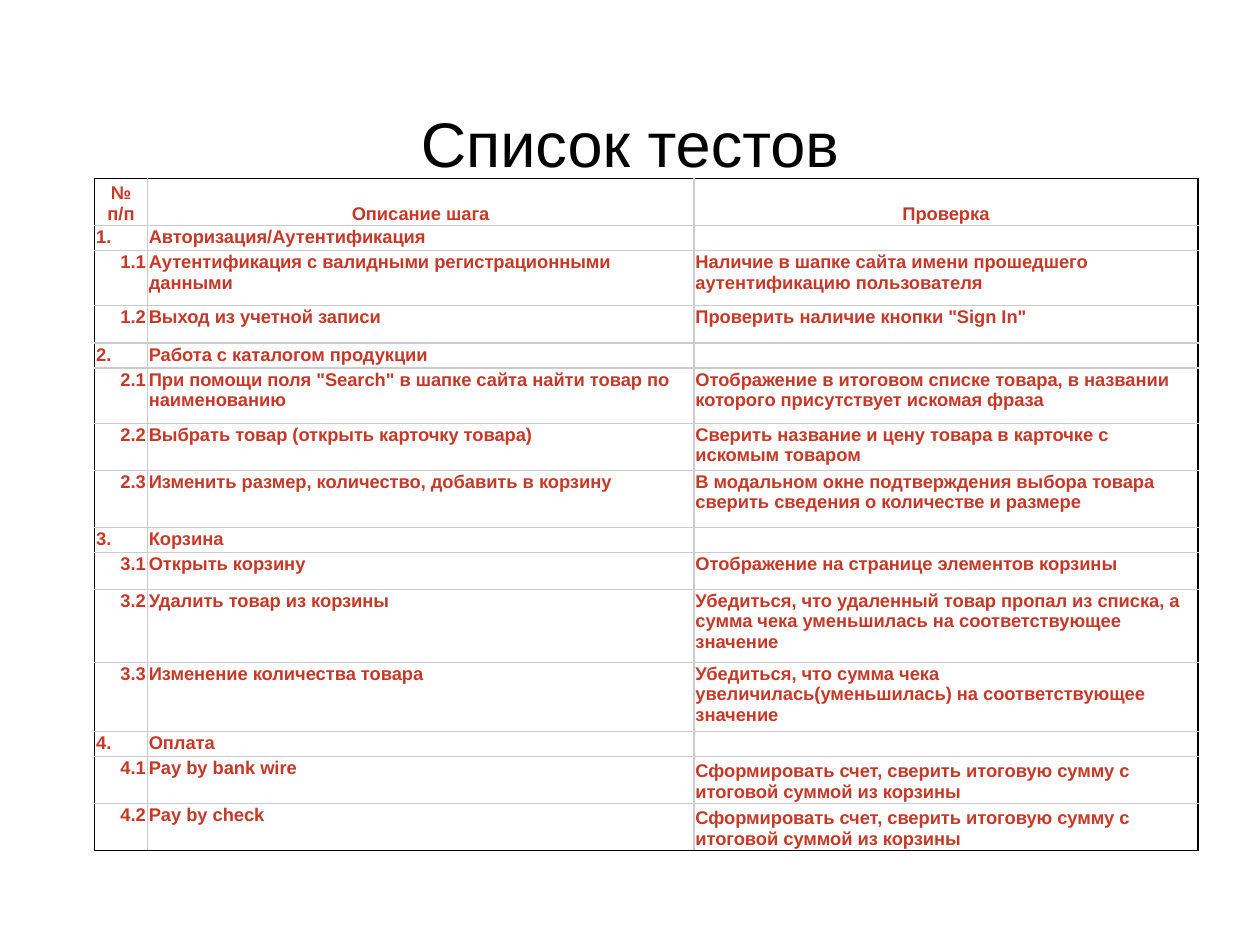
import pptx
import pptx.dml.color
import pptx.enum.text
import pptx.oxml.ns
import pptx.util
from lxml import etree

Cm = pptx.util.Cm
Pt = pptx.util.Pt
ALIGN = pptx.enum.text.PP_ALIGN
ANCHOR = pptx.enum.text.MSO_ANCHOR
qn = pptx.oxml.ns.qn

FONT = "Arial"
TABLE_SIZE = 10.5
COLORS = {"title": "000000", "text": "C53929", "frame": "000000", "grid": "CCCCCC"}

COLUMN_WIDTHS = [1.06, 11.02, 10.16]
PAYMENT_CHECK = "Сформировать счет, сверить итоговую сумму с итоговой суммой из корзины"

# Row height in cm, number, step, check
TESTS = [
    (0.87, "№ п/п", "Описание шага", "Проверка"),
    (0.46, "1.", "Авторизация/Аутентификация", ""),
    (1.11, "1.1", "Аутентификация с валидными регистрационными данными",
     "Наличие в шапке сайта имени прошедшего аутентификацию пользователя"),
    (0.75, "1.2", "Выход из учетной записи", 'Проверить наличие кнопки "Sign In"'),
    (0.46, "2.", "Работа с каталогом продукции", ""),
    (1.11, "2.1", 'При помощи поля "Search" в шапке сайта найти товар по наименованию',
     "Отображение в итоговом списке товара, в названии которого присутствует искомая фраза"),
    (0.87, "2.2", "Выбрать товар (открыть карточку товара)",
     "Сверить название и цену товара в карточке с искомым товаром"),
    (1.15, "2.3", "Изменить размер, количество, добавить в корзину",
     "В модальном окне подтверждения выбора товара сверить сведения о количестве и размере"),
    (0.46, "3.", "Корзина", ""),
    (0.75, "3.1", "Открыть корзину", "Отображение на странице элементов корзины"),
    (1.47, "3.2", "Удалить товар из корзины",
     "Убедиться, что удаленный товар пропал из списка, "
     "а сумма чека уменьшилась на соответствующее значение"),
    (1.27, "3.3", "Изменение количества товара",
     "Убедиться, что сумма чека увеличилась(уменьшилась) на соответствующее значение"),
    (0.46, "4.", "Оплата", ""),
    (0.93, "4.1", "Pay by bank wire", PAYMENT_CHECK),
    (0.87, "4.2", "Pay by check", PAYMENT_CHECK),
]


def add_span(para, text, size, color, bold=False):
    span = para.add_run()
    span.text = text
    span.font.name = FONT
    span.font.size = Pt(size)
    span.font.bold = bold
    span.font.color.rgb = pptx.dml.color.RGBColor.from_string(COLORS[color])


def add_title(page, left, top, width, height, text):
    box = page.shapes.add_textbox(Cm(left), Cm(top), Cm(width), Cm(height))
    box.text_frame.word_wrap = True
    box.text_frame.vertical_anchor = ANCHOR.MIDDLE
    para = box.text_frame.paragraphs[0]
    para.alignment = ALIGN.CENTER
    add_span(para, text, 36, "title")


def set_borders(cell, outer_sides):
    """Draw the four cell borders: frame colour on outer sides, grid inside."""
    properties = cell._tc.get_or_add_tcPr()
    for index, side in enumerate("LRTB"):
        line = etree.Element(qn("a:ln" + side), w=str(Pt(0.75)))
        fill = etree.SubElement(line, qn("a:solidFill"))
        color = COLORS["frame" if side in outer_sides else "grid"]
        etree.SubElement(fill, qn("a:srgbClr"), val=color)
        properties.insert(index, line)


def fill_cell(cell, text, alignment, anchor):
    cell.fill.background()
    cell.margin_left = cell.margin_right = Cm(0.03)
    cell.margin_top = cell.margin_bottom = Cm(0.03)
    cell.vertical_anchor = anchor
    para = cell.text_frame.paragraphs[0]
    para.alignment = alignment
    if text:
        add_span(para, text, TABLE_SIZE, "text", bold=True)
    else:
        # Keep an empty cell as low as the text rows
        etree.SubElement(para._p, qn("a:endParaRPr"), sz=str(int(TABLE_SIZE * 100)))


def add_test_table(page, left, top):
    heights = [test[0] for test in TESTS]
    last_row, last_column = len(TESTS) - 1, len(COLUMN_WIDTHS) - 1
    table = page.shapes.add_table(
        len(TESTS), len(COLUMN_WIDTHS), Cm(left), Cm(top),
        Cm(sum(COLUMN_WIDTHS)), Cm(sum(heights))).table
    table.first_row = table.horz_banding = False
    for column, width in zip(table.columns, COLUMN_WIDTHS):
        column.width = Cm(width)

    for row, (height, *texts) in enumerate(TESTS):
        table.rows[row].height = Cm(height)
        for column, text in enumerate(texts):
            # Headings centred, test numbers right, everything else left
            alignment, anchor = ALIGN.LEFT, ANCHOR.TOP
            if row == 0:
                alignment, anchor = ALIGN.CENTER, ANCHOR.BOTTOM
            elif column == 0 and not text.endswith("."):
                alignment = ALIGN.RIGHT
            elif text == PAYMENT_CHECK:
                anchor = ANCHOR.BOTTOM
            cell = table.cell(row, column)
            fill_cell(cell, text, alignment, anchor)

            edges = {"L": column == 0, "R": column == last_column,
                     "T": row == 0, "B": row == last_row}
            set_borders(cell, [side for side, outer in edges.items() if outer])


def main():
    deck = pptx.Presentation()
    deck.slide_width, deck.slide_height = Cm(25.4), Cm(19.05)
    page = deck.slides.add_slide(deck.slide_layouts[6])
    add_title(page, 1.27, 1.27, 22.86, 3.18, "Список тестов")
    add_test_table(page, 1.91, 3.6)
    deck.save("out.pptx")


if __name__ == "__main__":
    main()
